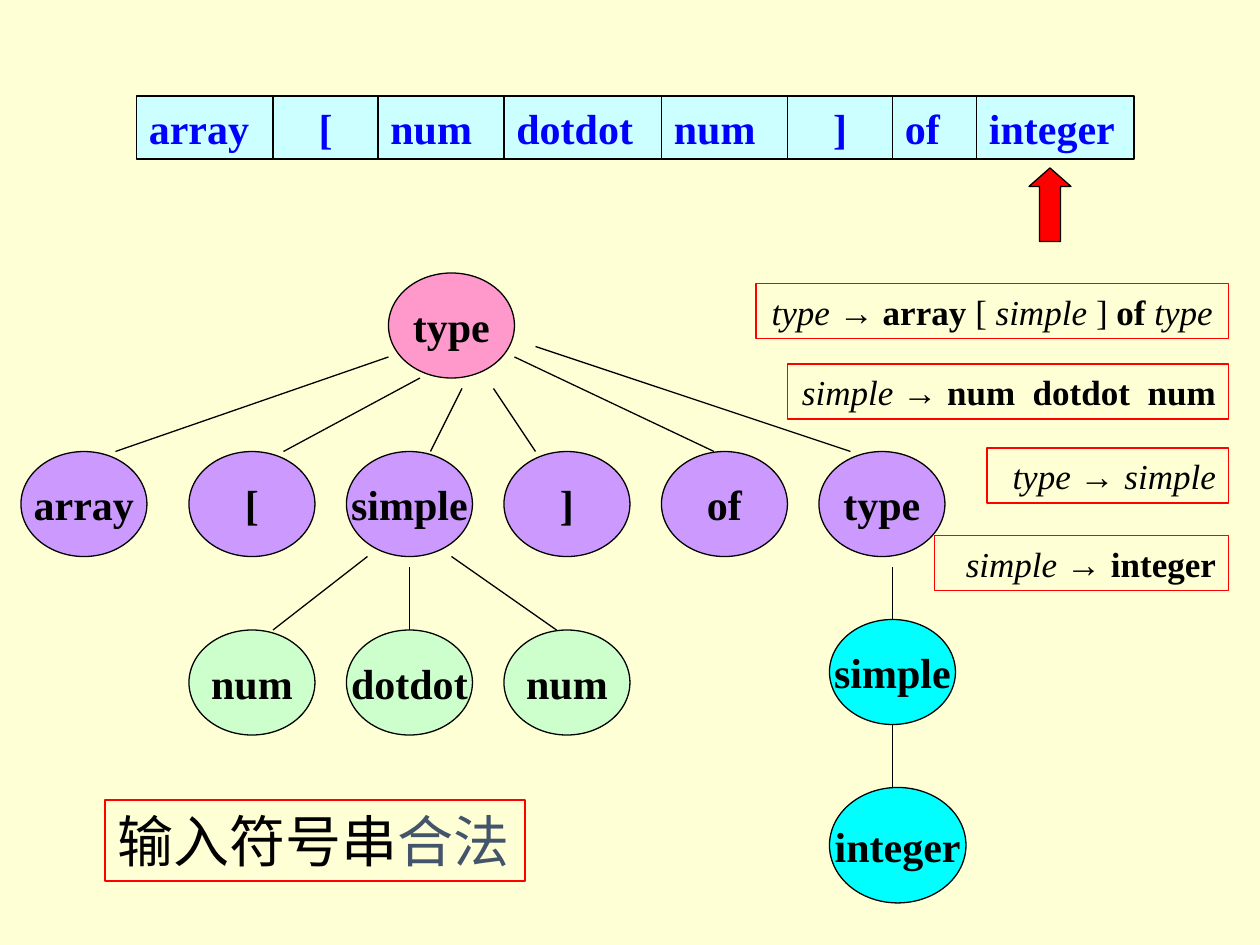
from collections import namedtuple
from itertools import accumulate

from lxml import etree
from pptx import Presentation
from pptx import util as u
from pptx.dml.color import RGBColor
from pptx.enum import shapes, text
from pptx.oxml import ns

COLOURS = {
    "paper": "FFFFD5", "token": "CCFFFF", "token_text": "0000FF",
    "root": "FF99CC", "child": "CC99FF", "range": "CCFFCC", "leaf": "00FFFF",
    "red": "FF0000", "ink": "000000", "verdict": "44546A",
}
SERIF, SYMBOL, CHINESE = "Times New Roman", "Arial", "Noto Sans CJK SC"
COLUMNS, ROWS = 120, 90
SLIDE_WIDTH, SLIDE_HEIGHT = u.Inches(10), u.Inches(7.5)
ALIGN = text.PP_ALIGN

Box = namedtuple("Box", "left top width height")


def colour(name):
    return RGBColor.from_string(COLOURS[name])


def across(columns):
    return round(columns * SLIDE_WIDTH / COLUMNS)


def down(rows):
    return round(rows * SLIDE_HEIGHT / ROWS)


def add_panel(slide, preset, box, fill=None, line="ink", weight=0.75):
    panel = slide.shapes.add_shape(
        preset, across(box.left), down(box.top), across(box.width), down(box.height))
    panel.shadow.inherit = False
    if fill:
        panel.fill.solid()
        panel.fill.fore_color.rgb = colour(fill)
    else:
        panel.fill.background()
    panel.line.color.rgb = colour(line)
    panel.line.width = u.Pt(weight)
    return panel


def write(panel, runs, size, align, wrap=True, font=SERIF, ink="ink", bold=None):
    frame = panel.text_frame
    frame.word_wrap = wrap
    frame.vertical_anchor = text.MSO_ANCHOR.MIDDLE
    line = frame.paragraphs[0]
    line.alignment = align
    line.font.name = font
    line.font.size = u.Pt(size)
    line.font.bold = bold
    line.font.color.rgb = colour(ink)
    for words in runs:
        line.add_run().text = words
    return line


def add_branch(slide, start, end):
    branch = slide.shapes.add_connector(
        shapes.MSO_CONNECTOR.STRAIGHT,
        across(start[0]), down(start[1]), across(end[0]), down(end[1]))
    branch.line.color.rgb = colour("ink")
    branch.line.width = u.Pt(0.75)
    etree.SubElement(branch._element.spPr, ns.qn("a:effectLst"))


def add_tokens(slide, box):
    tokens = [("array", 13), ("[", 10), ("num", 12), ("dotdot", 15),
              ("num", 12), ("]", 10), ("of", 8), ("integer", 15)]
    ends = accumulate(width for _, width in tokens)
    for (token, width), end in zip(tokens, ends):
        cell = Box(box.left + end - width, box.top, width, box.height)
        panel = add_panel(slide, shapes.MSO_SHAPE.RECTANGLE, cell, "token")
        align = ALIGN.CENTER if token in "[]" else ALIGN.LEFT
        write(panel, [token], 24, align, ink="token_text", bold=True)


def add_pointer(slide, box):
    pointer = add_panel(slide, shapes.MSO_SHAPE.UP_ARROW, box, "red")
    pointer.adjustments[1] = 0.44


def add_level(slide, box, fill, nodes, branches=()):
    for label, offset in nodes:
        node = Box(box.left + offset, box.top, box.width, box.height)
        panel = add_panel(slide, shapes.MSO_SHAPE.OVAL, node, fill)
        write(panel, [label], 24, ALIGN.CENTER, wrap=False, bold=True)
    for parent_x, rise, child_x in branches:
        add_branch(slide, (box.left + parent_x, box.top - rise),
                   (box.left + child_x, box.top))


def add_tree(slide, box):
    def level(row, column=0, width=12, height=10):
        return Box(box.left + column, box.top + row, width, height)

    add_level(slide, level(0, 35), "root", [("type", 0)])
    add_level(slide, level(17), "child",
              [("array", 0), ("[", 16), ("simple", 31),
               ("]", 46), ("of", 61), ("type", 76)],
              [(35, 9, 9), (38, 7, 25), (42, 6, 39),
               (45, 6, 49), (47, 9, 66), (49, 10, 79)])
    add_level(slide, level(34, 16), "range",
              [("num", 0), ("dotdot", 15), ("num", 30)],
              [(17, 7, 8), (21, 6, 21), (25, 7, 35)])
    add_level(slide, level(33, 77), "leaf", [("simple", 0)], [(6, 5, 6)])
    add_level(slide, level(49, 77, 13, 11), "leaf", [("integer", 0)], [(6, 6, 6)])


def add_rules(slide, box):
    rules = [
        (0, 45, ALIGN.CENTER,
         [("type ", "i"), ("→", "s"), (" array ", "b"), ("[", ""),
          (" simple ", "i"), ("] ", ""), ("of ", "b"), ("type", "i")]),
        (7.65, 42, ALIGN.RIGHT,
         [("simple ", "i"), ("→ ", "s"), ("num  dotdot  num", "b")]),
        (15.65, 23, ALIGN.RIGHT,
         [("type ", "i"), ("→ ", "s"), ("simple", "i")]),
        (24, 28, ALIGN.RIGHT,
         [("simple ", "i"), ("→ ", "s"), ("integer", "b")]),
    ]
    for row, width, align, parts in rules:
        place = Box(box.left + box.width - width, box.top + row, width, 5.25)
        panel = add_panel(slide, shapes.MSO_SHAPE.RECTANGLE, place, line="red", weight=1)
        line = write(panel, [words for words, _ in parts], 20, align)
        for run, (_, style) in zip(line.runs, parts):
            if style == "i":
                run.font.italic = True
            elif style == "b":
                run.font.bold = True
            elif style == "s":
                run.font.name = SYMBOL


def add_verdict(slide, box):
    panel = add_panel(slide, shapes.MSO_SHAPE.RECTANGLE, box, line="red", weight=1)
    line = write(panel, ["输入符号串", "合法"], 32, ALIGN.LEFT, font=CHINESE)
    for run in line.runs:
        run.font.name = CHINESE
        etree.SubElement(run.font._element, ns.qn("a:ea"), typeface=CHINESE)
    line.runs[1].font.color.rgb = colour("verdict")


def main():
    deck = Presentation()
    deck.slide_width, deck.slide_height = SLIDE_WIDTH, SLIDE_HEIGHT
    slide = deck.slides.add_slide(deck.slide_layouts[6])
    slide.background.fill.solid()
    slide.background.fill.fore_color.rgb = colour("paper")

    add_tokens(slide, Box(13, 9.15, 95, 6))
    add_pointer(slide, Box(98, 16, 4, 7))
    add_tree(slide, Box(2, 26, 90, 60))
    add_rules(slide, Box(72, 27, 45, 29.25))
    add_verdict(slide, Box(10, 76.2, 40, 7.7))
    deck.save("out.pptx")


if __name__ == "__main__":
    main()
